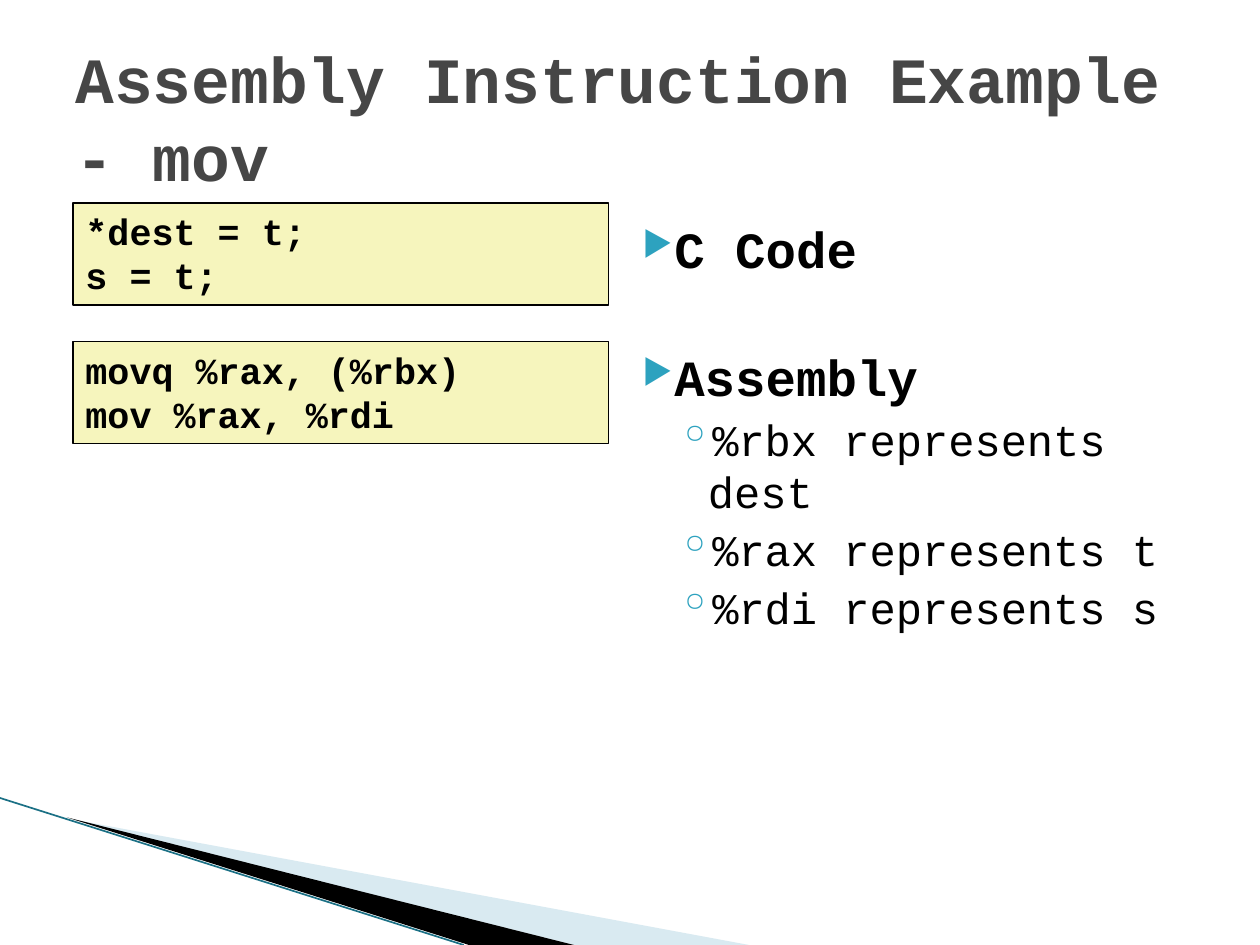
from lxml import etree
from pptx import Presentation
from pptx.dml.color import RGBColor
from pptx.enum import shapes, text
from pptx.oxml.ns import qn
from pptx.util import Pt

# Content
TITLE = "Assembly Instruction Example - mov"
CODE = [["*dest = t;", "s = t;"],
        ["movq %rax, (%rbx)", "mov %rax, %rdi"]]
NOTES = [(0, "C Code"), (0, "Assembly"),
         (1, "%rbx represents dest"),
         (1, "%rax represents t"),
         (1, "%rdi represents s")]

COLORS = {"title": "464646", "text": "000000", "code": "F6F5BD",
          "bullet": "2DA2BF", "pale": "A0CBDC", "dark": "000000",
          "edge": "1B7085"}
FONT = "Courier New"
LEVELS = [
    dict(size=29, bold=True, before=4, bullet="▶", bullet_size=68,
         left=17.28, hang=17.28),
    dict(size=25, before=3.2, bullet="◦", left=37.44, hang=17.28),
]
SECTION_GAP = 38.6

# Wedges in the bottom corner: colour, opacity in percent, outline
WEDGES = [("pale", 40, [(39.6, 468.5), (428, 540), (328, 540)]),
          ("dark", 100, [(38.2, 467.3), (328.5, 540), (268, 540)])]


def rgb(name):
    return RGBColor.from_string(COLORS[name])


def add_element(parent, tag, **attrs):
    el = etree.SubElement(parent, qn(tag))
    for key, value in attrs.items():
        el.set(key, str(value))
    return el


def write(p, words, size=21, bold=False, color="text", before=0,
          bullet=None, bullet_size=100, left=0, hang=0):
    p.alignment = text.PP_ALIGN.LEFT
    p.space_before = Pt(before)
    if bullet:
        pPr = p._p.get_or_add_pPr()
        pPr.set("marL", str(Pt(left)))
        pPr.set("indent", str(-Pt(hang)))
        clr = add_element(pPr, "a:buClr")
        add_element(clr, "a:srgbClr", val=COLORS["bullet"])
        add_element(pPr, "a:buSzPct", val=bullet_size * 1000)
        add_element(pPr, "a:buChar", char=bullet)
    r = p.add_run()
    r.text = words
    r.font.name = FONT
    r.font.size = Pt(size)
    r.font.bold = bold
    r.font.color.rgb = rgb(color)


def next_paragraph(tf, i):
    return tf.add_paragraph() if i else tf.paragraphs[0]


prs = Presentation()
prs.slide_width, prs.slide_height = Pt(720), Pt(540)
slide = prs.slides.add_slide(prs.slide_layouts[6])

# Corner decoration
for color, opacity, points in WEDGES:
    builder = slide.shapes.build_freeform(*points[0], scale=Pt(1))
    builder.add_line_segments(points[1:], close=True)
    sp = builder.convert_to_shape()
    sp.shadow.inherit = False
    sp.fill.solid()
    sp.fill.fore_color.rgb = rgb(color)
    sp.line.fill.background()
    if opacity < 100:
        fill = sp._element.spPr.find(qn("a:solidFill"))
        add_element(fill[0], "a:alpha", val=opacity * 1000)

edge = slide.shapes.add_connector(shapes.MSO_CONNECTOR.STRAIGHT,
                                  Pt(0), Pt(456), Pt(265), Pt(540))
edge.line.color.rgb = rgb("edge")
edge.line.width = Pt(0.95)
add_element(edge._element.spPr, "a:effectLst")

# Title
sp = slide.shapes.add_textbox(Pt(36), Pt(21.6), Pt(648), Pt(90))
tf = sp.text_frame
tf.word_wrap = True
tf.vertical_anchor = text.MSO_ANCHOR.MIDDLE
write(tf.paragraphs[0], TITLE, size=36.9, bold=True, color="title")

# Explanations
sp = slide.shapes.add_textbox(Pt(360), Pt(116.64), Pt(324), Pt(394.56))
tf = sp.text_frame
tf.word_wrap = True
tf.margin_top = Pt(7.6)
for i, (level, words) in enumerate(NOTES):
    style = dict(LEVELS[level])
    if level == 0:
        style["before"] = SECTION_GAP if i else 0
    write(next_paragraph(tf, i), words, **style)

# Code boxes
for row, lines in enumerate(CODE):
    sp = slide.shapes.add_shape(shapes.MSO_SHAPE.RECTANGLE, Pt(41.76),
                                Pt(115.92 + 79.2 * row), Pt(306), Pt(58.32))
    sp.shadow.inherit = False
    sp.fill.solid()
    sp.fill.fore_color.rgb = rgb("code")
    sp.line.color.rgb = rgb("text")
    sp.line.width = Pt(1)
    tf = sp.text_frame
    tf.word_wrap = True
    tf.vertical_anchor = text.MSO_ANCHOR.TOP
    for i, words in enumerate(lines):
        write(next_paragraph(tf, i), words, bold=True)

prs.save("out.pptx")
